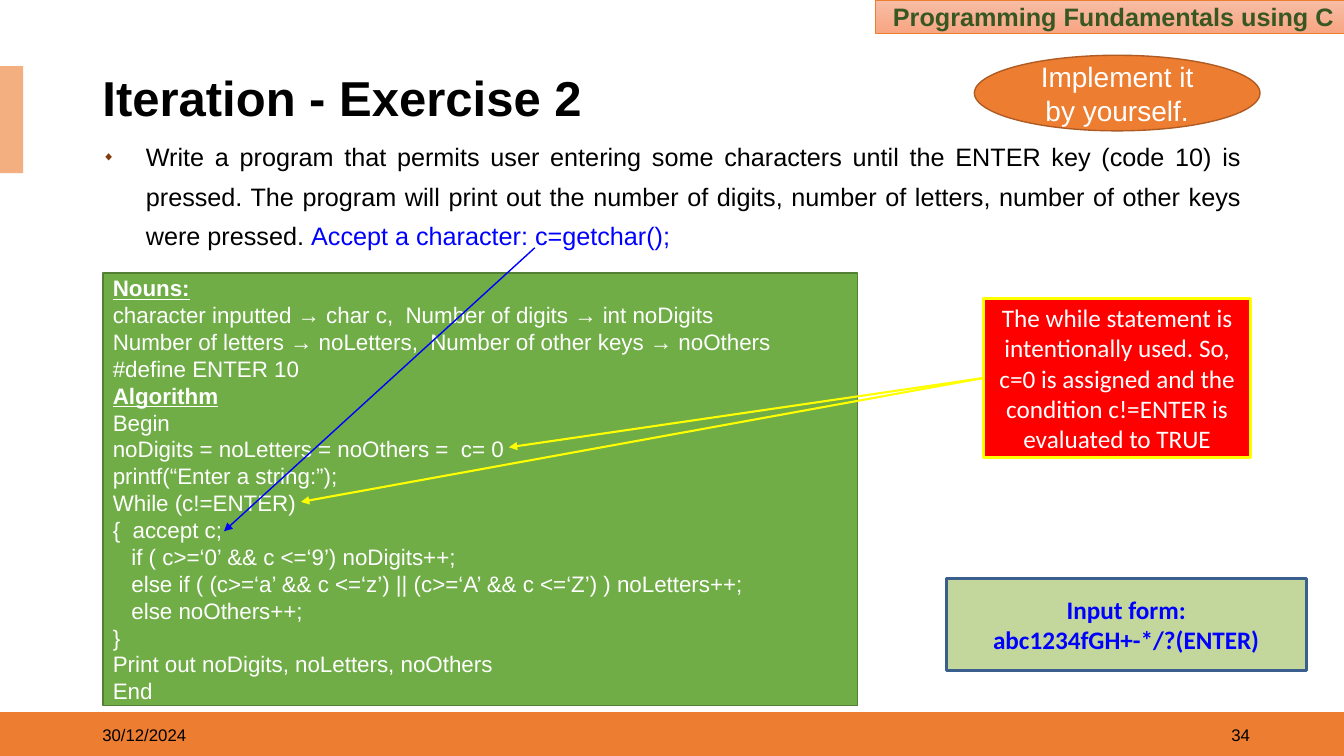
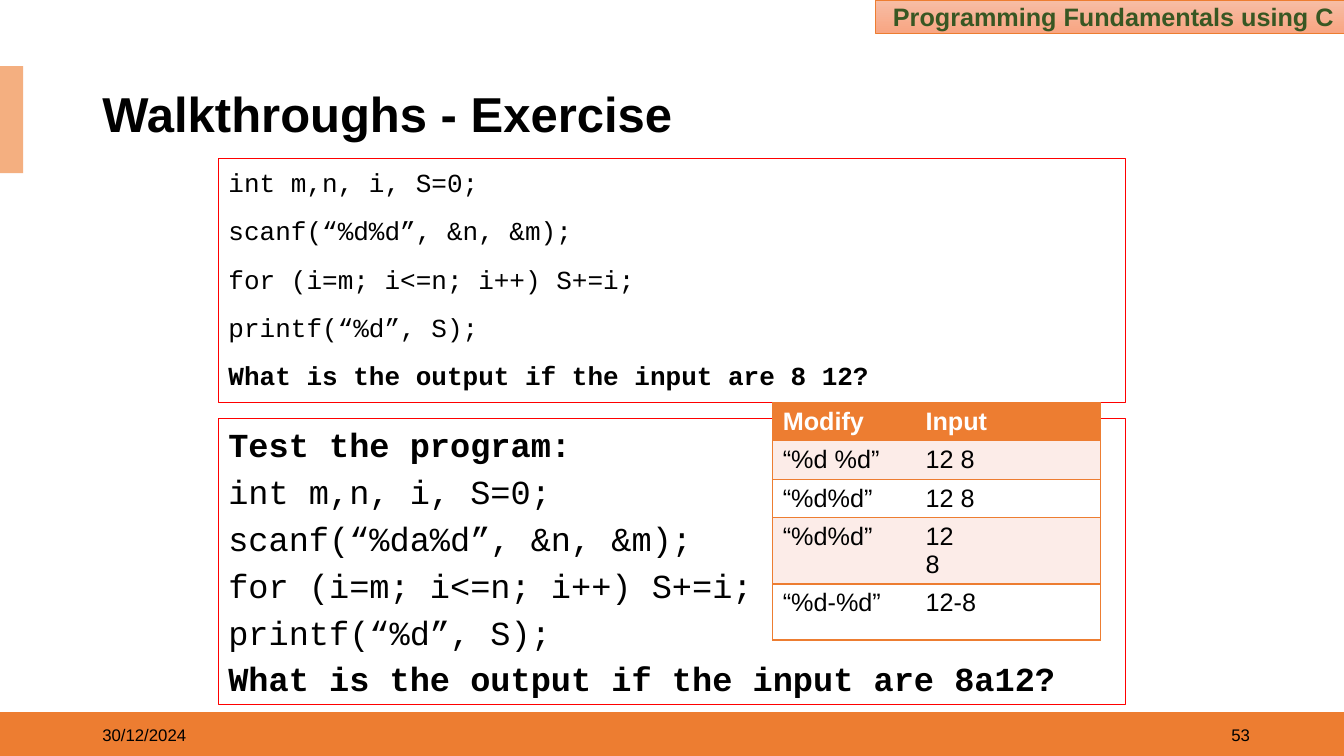
from dataclasses import dataclass
from typing import NamedTuple, Optional, Sequence, Union

from lxml.etree import SubElement
from pptx import Presentation
from pptx.dml.color import RGBColor
from pptx.enum.shapes import MSO_CONNECTOR as Connector, MSO_SHAPE as Preset
from pptx.enum.text import MSO_ANCHOR as Anchor, MSO_AUTO_SIZE as AutoSize, PP_ALIGN as Align
from pptx.oxml import parse_xml
from pptx.oxml.ns import nsdecls, qn
from pptx.util import Pt


@dataclass(frozen=True)
class Theme:
    sans: str = "Arial"
    callout: str = "Calibri"
    mono: str = "Courier New"
    title_size: float = 35
    body_size: float = 18
    code_size: float = 16
    listing_size: float = 18.6
    test_size: float = 24
    badge_size: float = 20
    footer_size: float = 12
    black: str = "000000"
    white: str = "FFFFFF"
    orange: str = "ED7D31"
    orange_dark: str = "AF5C24"
    orange_light: str = "F4AF80"
    orange_pale: str = "FCECE8"
    header_top: str = "F7BDA5"
    header_bottom: str = "F8A582"
    header_text: str = "385723"
    green: str = "70AD47"
    green_dark: str = "538035"
    green_light: str = "C3D69B"
    red: str = "FF0000"
    yellow: str = "FFFF00"
    blue: str = "0000FF"
    blue_dark: str = "3A5F8C"
    bullet: str = "843C0B"


THEME = Theme()


class Box(NamedTuple):
    left: float
    top: float
    width: float
    height: float


class Span(NamedTuple):
    text: str
    bold: Optional[bool] = None
    underline: bool = False
    color: Optional[str] = None


class Line(NamedTuple):
    spans: Sequence[Span]
    indent: float = 0


class Arrow(NamedTuple):
    start: tuple[float, float]
    end: tuple[float, float]
    color: str
    width: float


class Row(NamedTuple):
    modify: str
    entry: str
    height: float
    fill: str


Text = Union[str, Line]


def heading(text: str) -> Line:
    return Line([Span(text, bold=True, underline=True)])


def strong(text: str) -> Line:
    return Line([Span(text, bold=True)])


def nested(text: str) -> Line:
    return Line([Span(text)], indent=13.3)


def rgb(color: str) -> RGBColor:
    return RGBColor.from_string(color)


def write_text(frame, lines: Sequence[Text], *, size: float, font: str = THEME.sans,
               color: str = THEME.black, bold: bool = False, align=Align.LEFT,
               anchor=Anchor.MIDDLE, spacing: float = 1.0, before: float = 0,
               hanging: float = 0, bullet: str = "") -> None:
    frame.word_wrap = True
    frame.auto_size = AutoSize.NONE
    frame.vertical_anchor = anchor
    for index, item in enumerate(lines):
        line = Line([Span(item)]) if isinstance(item, str) else item
        paragraph = frame.add_paragraph() if index else frame.paragraphs[0]
        paragraph.alignment = align
        paragraph.line_spacing = spacing
        paragraph.space_before = Pt(before)
        set_indent(paragraph, hanging or line.indent, -hanging, bullet)
        for span in line.spans:
            run = paragraph.add_run()
            run.text = span.text
            run.font.size = Pt(size)
            run.font.name = font
            run.font.bold = bold if span.bold is None else span.bold
            run.font.underline = span.underline
            run.font.color.rgb = rgb(span.color or color)


def set_indent(paragraph, margin: float, first: float, bullet: str) -> None:
    properties = paragraph._p.get_or_add_pPr()
    properties.set("marL", str(int(Pt(margin))))
    properties.set("indent", str(int(Pt(first))))
    if bullet:
        SubElement(SubElement(properties, qn("a:buClr")), qn("a:srgbClr"), val=THEME.bullet)
        SubElement(properties, qn("a:buSzPct"), val="50000")
        SubElement(properties, qn("a:buChar"), char=bullet)
    else:
        SubElement(properties, qn("a:buNone"))


def place(shape, box: Box) -> None:
    shape.left, shape.top, shape.width, shape.height = map(Pt, box)


def outline(shape, color: str, width: float) -> None:
    shape.line.color.rgb = rgb(color)
    shape.line.width = Pt(width)


def add_box(slide, box: Box, *, fill: str = "", line: str = "", width: float = 1,
            preset=Preset.RECTANGLE):
    shape = slide.shapes.add_shape(preset, *map(Pt, box))
    shape.shadow.inherit = False
    if fill:
        shape.fill.solid()
        shape.fill.fore_color.rgb = rgb(fill)
    else:
        shape.fill.background()
    if line:
        outline(shape, line, width)
    else:
        shape.line.fill.background()
    return shape


def add_arrow(slide, arrow: Arrow) -> None:
    connector = slide.shapes.add_connector(
        Connector.STRAIGHT, *map(Pt, (*arrow.start, *arrow.end)))
    outline(connector, arrow.color, arrow.width)
    SubElement(connector.line._get_or_add_ln(), qn("a:tailEnd"), type="triangle")
    SubElement(connector._element.spPr, qn("a:effectLst"))


def add_page(presentation, title: str, title_top: float, number: int):
    slide = presentation.slides.add_slide(presentation.slide_layouts[1])
    place(slide.shapes.title, Box(66, title_top, 828, 45.5))
    slide.shapes.title.fill.solid()
    slide.shapes.title.fill.fore_color.rgb = rgb(THEME.white)
    write_text(slide.shapes.title.text_frame, [title], size=THEME.title_size,
               bold=True, spacing=0.9)

    add_box(slide, Box(0, 508.7, 960, 31.3), fill=THEME.orange)
    add_box(slide, Box(0, 47.2, 16.5, 76.5), fill=THEME.orange_light)
    header = add_box(slide, Box(625.5, 0, 334.5, 24), line=THEME.orange, width=0.5)
    header.fill.gradient()
    header.fill.gradient_angle = 270
    for stop, color in zip(header.fill.gradient_stops, (THEME.header_top, THEME.header_bottom)):
        stop.color.rgb = rgb(color)
    write_text(header.text_frame, ["Programming Fundamentals using C"], bold=True,
               size=THEME.body_size, color=THEME.header_text, align=Align.RIGHT)

    for text, left, align in (("30/12/2024", 66, Align.LEFT), (str(number), 684, Align.RIGHT)):
        footer = slide.shapes.add_textbox(*map(Pt, Box(left, 510.5, 216, 29)))
        write_text(footer.text_frame, [text], size=THEME.footer_size, align=align)
    return slide


def set_borders(cell, sides: str) -> None:
    properties = cell._tc.get_or_add_tcPr()
    for index, side in enumerate("LRTB"):
        paint = (f'<a:solidFill><a:srgbClr val="{THEME.orange}"/></a:solidFill>'
                 if side in sides else "<a:noFill/>")
        properties.insert(index, parse_xml(
            f'<a:ln{side} {nsdecls("a")} w="{int(Pt(1))}">{paint}</a:ln{side}>'))


def add_input_table(slide, rows: Sequence[Row]) -> None:
    widths = (102, 132)
    height = sum(row.height for row in rows)
    table = slide.shapes.add_table(
        len(rows), len(widths), *map(Pt, (552, 287.5, sum(widths), height))).table
    table.first_row = table.horz_banding = False
    for column, width in zip(table.columns, widths):
        column.width = Pt(width)
    for index, row in enumerate(rows):
        table.rows[index].height = Pt(row.height)
        for column, text in enumerate((row.modify, row.entry)):
            cell = table.cell(index, column)
            cell.fill.solid()
            cell.fill.fore_color.rgb = rgb(row.fill)
            set_borders(cell, ("LTB", "RTB")[column])
            write_text(cell.text_frame, text.split("\n"), size=THEME.body_size,
                       color=THEME.black if index else THEME.white, bold=index == 0,
                       anchor=Anchor.TOP)


def build_iteration(presentation) -> None:
    slide = add_page(presentation, "Iteration - Exercise 2", 49, 34)
    body = slide.placeholders[1]
    place(body, Box(66, 91.2, 828, 394))
    task = Line([
        Span("Write a program that permits user entering some characters until the ENTER key "
             "(code 10) is pressed. The program will print out the number of digits, number of "
             "letters, number of other keys were pressed. "),
        Span("Accept a character: c=getchar();", color=THEME.blue)])
    write_text(body.text_frame, [task], size=THEME.body_size, align=Align.JUSTIFY,
               anchor=Anchor.TOP, spacing=1.3, before=10, hanging=31, bullet="◆")

    algorithm = add_box(slide, Box(73.5, 195, 539, 309), fill=THEME.green,
                        line=THEME.green_dark)
    write_text(algorithm.text_frame, [
        heading("Nouns:"),
        "character inputted → char c,  Number of digits → int noDigits",
        "Number of letters → noLetters,  Number of other keys → noOthers",
        "#define ENTER 10",
        heading("Algorithm"),
        "Begin",
        "noDigits = noLetters = noOthers =  c= 0",
        "printf(“Enter a string:”);",
        "While (c!=ENTER)",
        "{  accept c;",
        nested("if ( c>=‘0’ && c <=‘9’) noDigits++;"),
        nested("else if ( (c>=‘a’ && c <=‘z’) || (c>=‘A’ && c <=‘Z’) ) noLetters++;"),
        nested("else noOthers++;"),
        "}",
        "Print out noDigits, noLetters, noOthers",
        "End"], size=THEME.code_size, color=THEME.white)

    remark = add_box(slide, Box(702.5, 213, 191, 114), fill=THEME.red, line=THEME.yellow, width=2)
    write_text(remark.text_frame, [
        "The while statement is intentionally used. So, c=0 is assigned and the condition "
        "c!=ENTER is evaluated to TRUE"],
        size=THEME.body_size, font=THEME.callout, color=THEME.white, align=Align.CENTER)

    sample = add_box(slide, Box(676, 413, 257, 66), fill=THEME.green_light,
                     line=THEME.blue_dark, width=2)
    write_text(sample.text_frame, ["Input form:", "abc1234fGH+-*/?(ENTER)"], bold=True,
               size=THEME.body_size, font=THEME.callout, color=THEME.blue, align=Align.CENTER)

    remark_edge = (702.5, 270)
    for arrow in (Arrow(remark_edge, (215, 358.5), THEME.yellow, 1.5),
                  Arrow(remark_edge, (363.5, 319.5), THEME.yellow, 1.5),
                  Arrow((382, 177), (160, 379.5), THEME.blue, 1)):
        add_arrow(slide, arrow)

    badge = add_box(slide, Box(696, 39.5, 204, 54), fill=THEME.orange,
                    line=THEME.orange_dark, preset=Preset.OVAL)
    write_text(badge.text_frame, ["Implement it by yourself."], size=THEME.badge_size,
               color=THEME.white, align=Align.CENTER)


def build_walkthrough(presentation) -> None:
    slide = add_page(presentation, "Walkthroughs - Exercise", 60.7, 53)
    body = slide.placeholders[1]
    place(body, Box(156, 113, 648, 174.5))
    outline(body, THEME.red, 0.75)
    declaration, loop, output = "int m,n, i, S=0;", "for (i=m; i<=n; i++) S+=i;", "printf(“%d”, S);"
    write_text(body.text_frame, [
        declaration, "scanf(“%d%d”, &n, &m);", loop, output,
        strong("What is the output if the input are 8 12?")],
        size=THEME.listing_size, font=THEME.mono, align=Align.JUSTIFY, anchor=Anchor.TOP,
        spacing=1.1, before=10, hanging=31)

    test = add_box(slide, Box(156, 299.2, 648, 204), line=THEME.red, width=0.75)
    write_text(test.text_frame, [
        strong("Test the program:"), declaration, "scanf(“%da%d”, &n, &m);", loop, output,
        strong("What is the output if the input are 8a12?")],
        size=THEME.test_size, font=THEME.mono, anchor=Anchor.TOP, before=4.7, hanging=27.5)

    add_input_table(slide, [
        Row("Modify", "Input", 26, THEME.orange),
        Row("“%d %d”", "12 8", 26, THEME.orange_pale),
        Row("“%d%d”", "12 8", 26, THEME.white),
        Row("“%d%d”", "12\n8", 44.5, THEME.orange_pale),
        Row("“%d-%d”", "12-8", 40, THEME.white)])


def main() -> None:
    presentation = Presentation()
    presentation.slide_width, presentation.slide_height = Pt(960), Pt(540)
    build_iteration(presentation)
    build_walkthrough(presentation)
    presentation.save("out.pptx")


if __name__ == "__main__":
    main()
